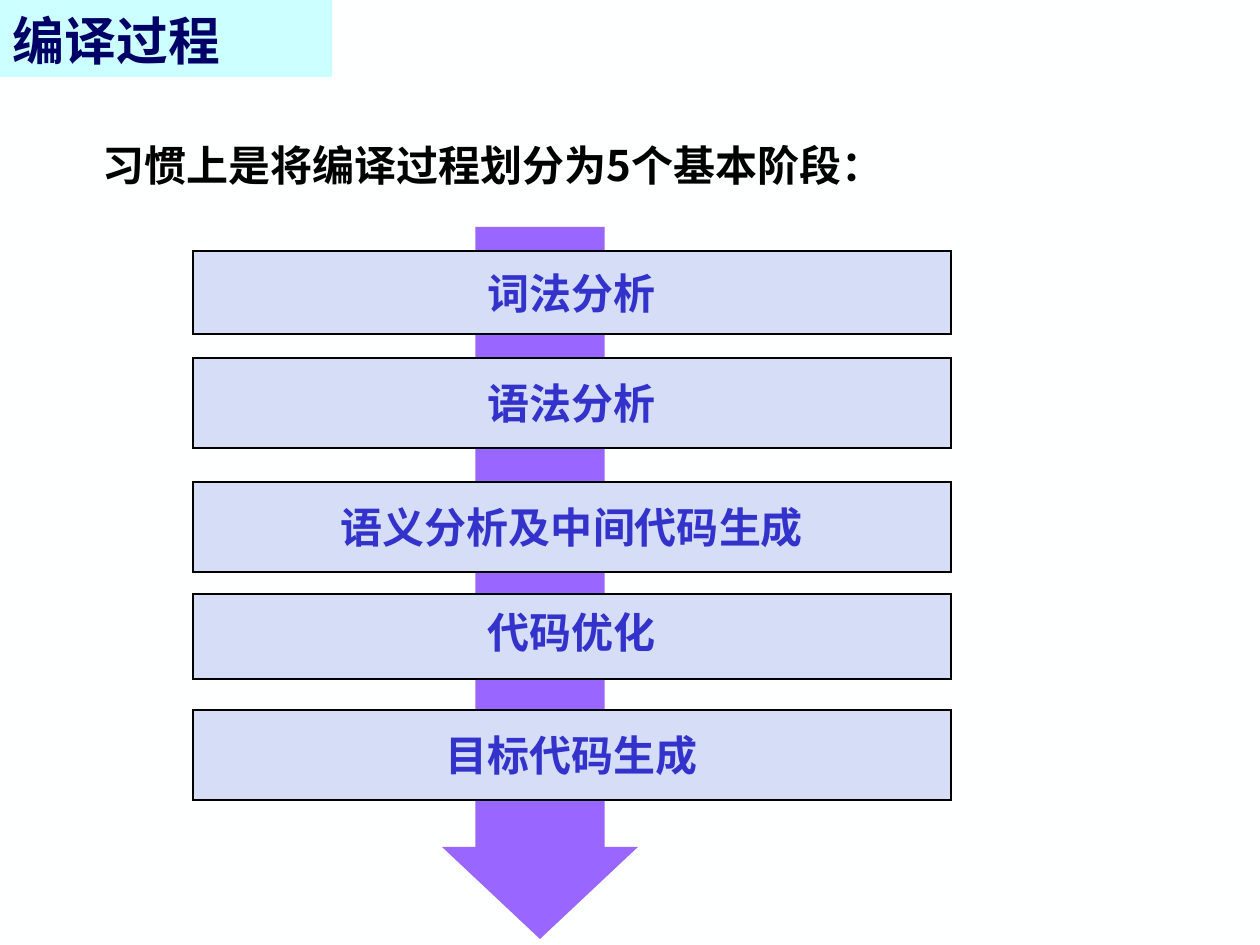
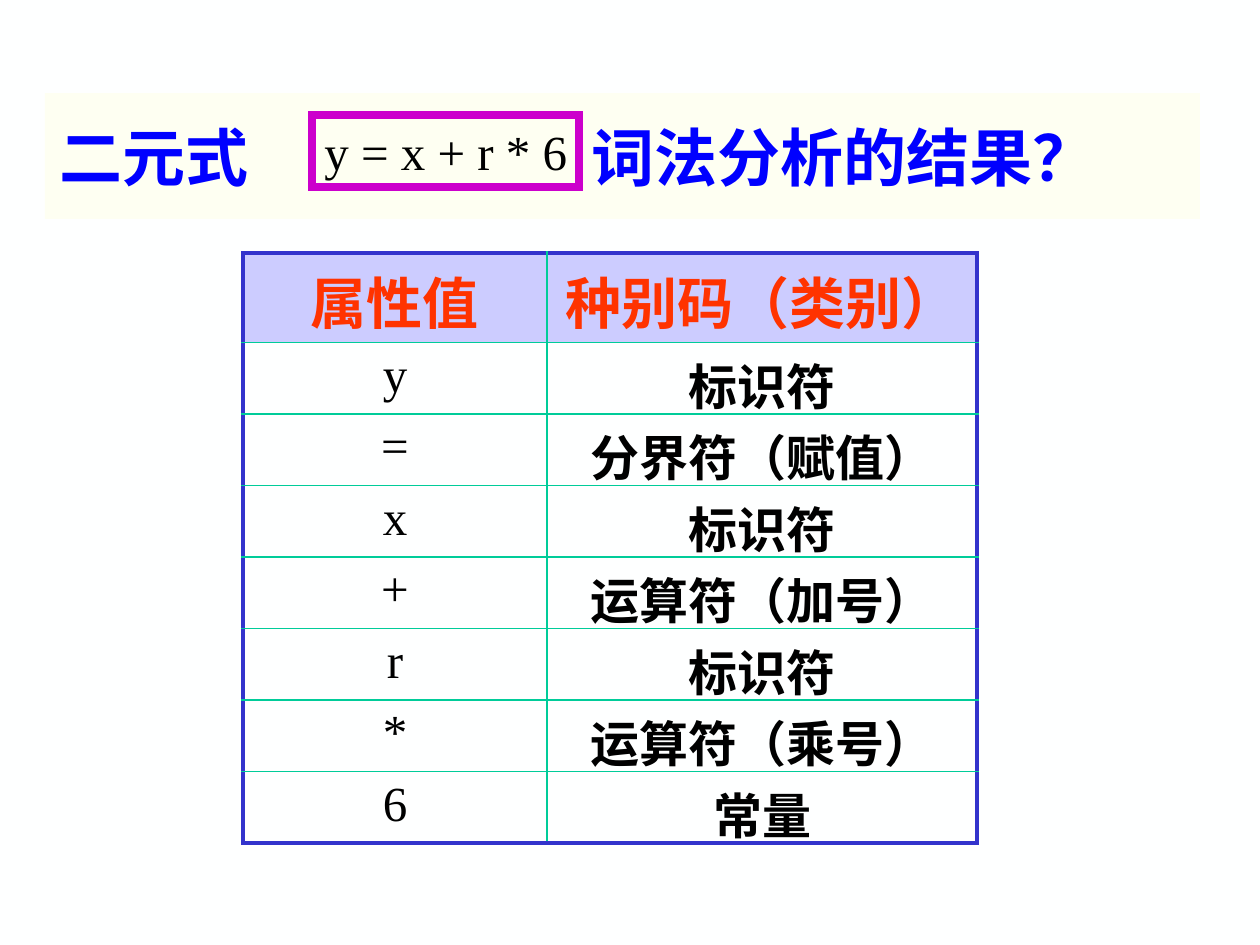
"""Builds two slides on the phases of compilation and the result of lexical analysis."""
from typing import NamedTuple

from lxml import etree
from pptx import Presentation
from pptx.dml.color import RGBColor
from pptx.enum.shapes import MSO_SHAPE
from pptx.enum.text import MSO_ANCHOR, MSO_AUTO_SIZE, PP_ALIGN
from pptx.oxml.ns import qn
from pptx.util import Emu, Pt

RECT, DOWN_ARROW = MSO_SHAPE.RECTANGLE, MSO_SHAPE.DOWN_ARROW
MIDDLE, BOTTOM, TOP = MSO_ANCHOR.MIDDLE, MSO_ANCHOR.BOTTOM, MSO_ANCHOR.TOP
LEFT, CENTER = PP_ALIGN.LEFT, PP_ALIGN.CENTER
NO_FIT = MSO_AUTO_SIZE.NONE

PX = 914400 / 126
CJK, SERIF = "Noto Sans CJK SC", "Times New Roman"
BLACK, INDIGO, GREEN = "000000", "3333CC", "00CC99"


class Box(NamedTuple):
    """Left, top, width and height in px."""
    x: int
    y: int
    w: int
    h: int


class Style(NamedTuple):
    """Look of a paragraph."""
    size: float
    color: str
    bold: bool = True
    font: str = SERIF
    align: PP_ALIGN = CENTER


class Phase(NamedTuple):
    """One compilation phase and the place of its bar."""
    text: str
    y: int
    h: int
    spacing: float = 1.0


PHASE_STYLE = Style(24, INDIGO, font=CJK)
LEAD_STYLE = Style(24, BLACK, font=CJK)
BAND_STYLE = Style(29.6, "000066", align=LEFT)
QUESTION_STYLE = Style(36, "0000FF", align=LEFT)
HEADER_STYLE = Style(32, "FF3300")
TOKEN_STYLE = Style(28, BLACK, bold=False)
KIND_STYLE = Style(28, BLACK)

PHASES = [
    Phase("词法分析", 251, 83),
    Phase("语法分析", 358, 90),
    Phase("语义分析及中间代码生成", 482, 90),
    Phase("代码优化", 594, 85, 0.8),
    Phase("目标代码生成", 710, 90),
]

TOKENS = [
    ("属性值", "种别码（类别）"),
    ("y", "标识符"),
    ("=", "分界符（赋值）"),
    ("x", "标识符"),
    ("+", "运算符（加号）"),
    ("r", "标识符"),
    ("*", "运算符（乘号）"),
    ("6", "常量"),
]


def px(n: float) -> Emu:
    """Turn px into EMU."""
    return Emu(round(n * PX))


def rgb(color: str) -> RGBColor:
    """Turn a hex string into a colour."""
    return RGBColor.from_string(color)


def fill(target, color: str) -> None:
    """Fill a shape, cell or background with one colour."""
    target.fill.solid()
    target.fill.fore_color.rgb = rgb(color)


def write(tf, text: str, style: Style, anchor=None, wrap: bool = True, tab: int = 0):
    """Write one styled paragraph into a text frame, with an optional tab stop."""
    tf.word_wrap = wrap
    if anchor is not None:
        tf.vertical_anchor = anchor
    p = tf.paragraphs[0]
    p.add_run().text = text
    p.alignment = style.align
    if tab:
        tabs = etree.SubElement(p._p.get_or_add_pPr(), qn("a:tabLst"))
        etree.SubElement(tabs, qn("a:tab"), pos=str(px(tab)), algn="l")
    p.font.size, p.font.bold, p.font.name = Pt(style.size), style.bold, style.font
    p.font.color.rgb = rgb(style.color)
    latin = p._p.pPr.find(qn("a:defRPr")).find(qn("a:latin"))
    latin.addnext(etree.Element(qn("a:ea"), typeface=CJK))
    return p


def add_box(slide, kind, box: Box, color: str = "", line: str = "", width: float = 1):
    """Add a flat preset shape with optional fill and square-cornered outline."""
    sp = slide.shapes.add_shape(kind, *map(px, box))
    sp.shadow.inherit = False
    if color:
        fill(sp, color)
    else:
        sp.fill.background()
    if line:
        sp.line.color.rgb = rgb(line)
        sp.line.width = Pt(width)
        etree.SubElement(sp._element.spPr.find(qn("a:ln")), qn("a:miter"), lim="800000")
    else:
        sp.line.fill.background()
    return sp


def add_title(slide, box: Box, color: str):
    """Turn the title placeholder into a filled band."""
    sp = slide.shapes.title
    sp.left, sp.top, sp.width, sp.height = map(px, box)
    fill(sp, color)
    sp.text_frame.auto_size = NO_FIT
    return sp


def soften(sp) -> None:
    """Round the corners of a filled placeholder and make it half transparent."""
    pr = sp._element.spPr
    geom = etree.Element(qn("a:prstGeom"), prst="roundRect")
    guides = etree.SubElement(geom, qn("a:avLst"))
    etree.SubElement(guides, qn("a:gd"), name="adj", fmla="val 5400")
    pr.find(qn("a:xfrm")).addnext(geom)
    etree.SubElement(pr.find(qn("a:solidFill"))[0], qn("a:alpha"), val="50000")


def border(cell, side: str, color: str, width: float) -> None:
    """Draw one side of a cell; sides come in the order L, R, T, B."""
    ln = etree.SubElement(cell._tc.get_or_add_tcPr(), qn(f"a:ln{side}"), w=str(Pt(width)))
    etree.SubElement(etree.SubElement(ln, qn("a:solidFill")), qn("a:srgbClr"), val=color)


def add_tokens(slide) -> None:
    """Add the table of tokens and their kinds."""
    rows, cols = len(TOKENS), len(TOKENS[0])
    frame = slide.shapes.add_table(rows, cols, *map(px, Box(243, 253, 734, 590)))
    table = frame.table
    table.first_row = table.horz_banding = False
    for col, width in zip(table.columns, (304, 430)):
        col.width = px(width)
    for i, values in enumerate(TOKENS):
        table.rows[i].height = px(71.5 if i else 89.5)
        for j, text in enumerate(values):
            cell = table.cell(i, j)
            cell.margin_bottom = px(-6)
            outer = {"L": j == 0, "R": j == cols - 1, "T": i == 0, "B": i == rows - 1}
            for side, edge in outer.items():
                border(cell, side, *((INDIGO, 2.21) if edge else (GREEN, 1.08)))
            if i == 0:
                fill(cell, "CCCCFF")
                style = HEADER_STYLE
            else:
                cell.fill.background()
                style = KIND_STYLE if j else TOKEN_STYLE
            write(cell.text_frame, text, style)


def build_phases(slide) -> None:
    """Draw the five phases over a downward arrow."""
    arrow = add_box(slide, DOWN_ARROW, Box(442, 227, 196, 712), "9966FF")
    arrow.adjustments[0], arrow.adjustments[1] = 0.66, 0.47
    for phase in PHASES:
        sp = add_box(slide, RECT, Box(193, phase.y, 758, phase.h), "D6DDF6", BLACK)
        p = write(sp.text_frame, phase.text, PHASE_STYLE, MIDDLE, wrap=False)
        if phase.spacing != 1:
            p.line_spacing = phase.spacing
    lead = slide.shapes.add_textbox(*map(px, Box(58, 133, 870, 63)))
    write(lead.text_frame, "习惯上是将编译过程划分为5个基本阶段：", LEAD_STYLE)
    title = add_title(slide, Box(0, 0, 332, 77), "CCFFFF")
    write(title.text_frame, "编译过程", BAND_STYLE, BOTTOM)


def build_result(slide) -> None:
    """Draw the question with its formula and the table of tokens."""
    title = add_title(slide, Box(45, 93, 1155, 126), "FFFFE7")
    soften(title)
    title.text_frame.margin_left = px(15)
    write(title.text_frame, "二元式\t词法分析的结果？", QUESTION_STYLE, MIDDLE, tab=532)
    formula = add_box(slide, RECT, Box(312, 115, 267, 72), line="CC00CC", width=4.5)
    write(formula.text_frame, "y = x + r * 6", TOKEN_STYLE._replace(align=LEFT), TOP, wrap=False)
    add_tokens(slide)


def main() -> None:
    """Build and save the presentation."""
    prs = Presentation()
    prs.slide_width, prs.slide_height = px(1260), px(945)
    fill(prs.slide_master.background, "FEFFFF")
    for build in (build_phases, build_result):
        build(prs.slides.add_slide(prs.slide_layouts[5]))
    prs.save("out.pptx")


if __name__ == "__main__":
    main()
